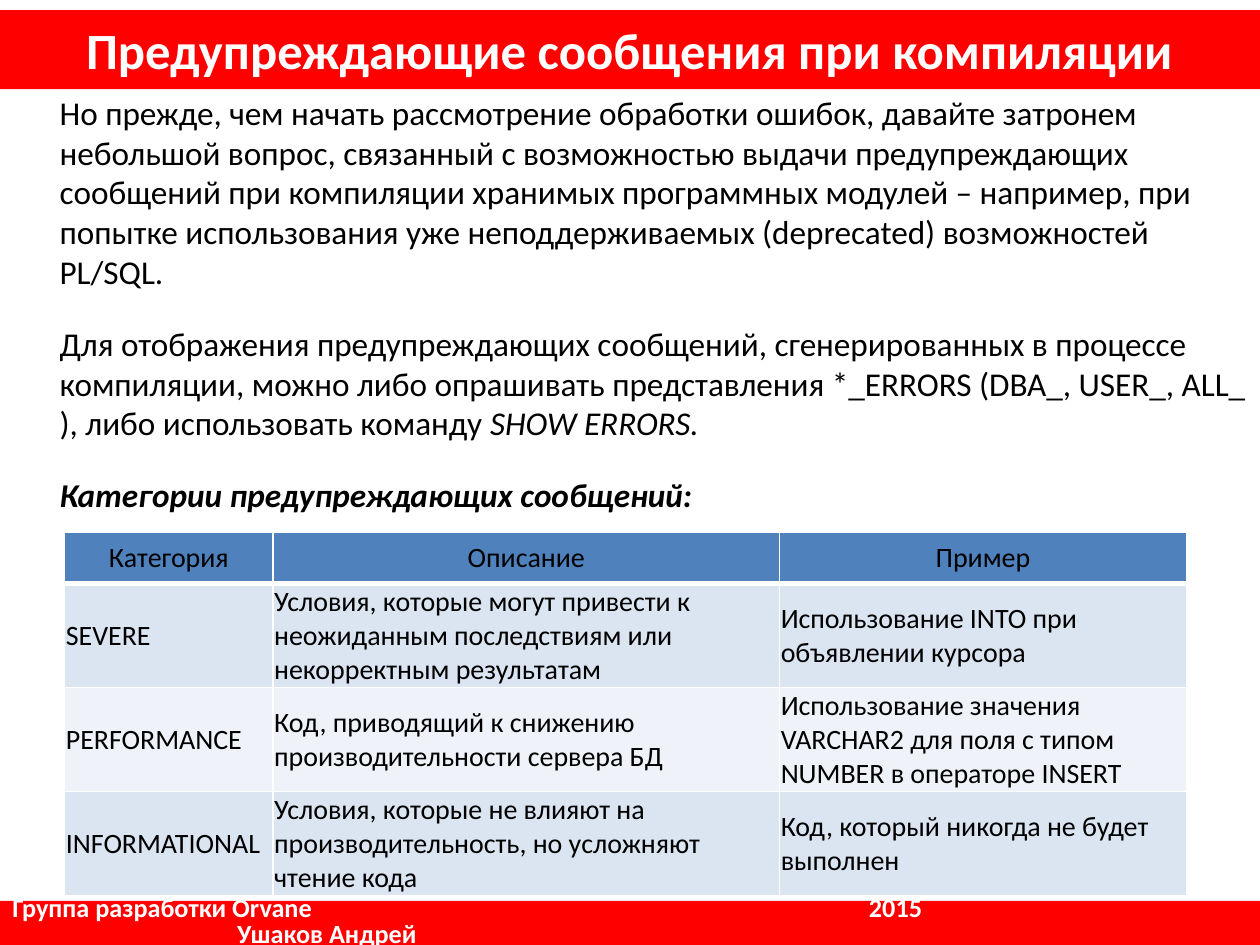
from dataclasses import dataclass

from lxml import etree
from pptx import Presentation
from pptx import util as u
from pptx.dml.color import RGBColor
from pptx.enum import shapes, text
from pptx.oxml import ns

RED = RGBColor(0xFF, 0x00, 0x00)
WHITE = RGBColor(0xFF, 0xFF, 0xFF)
BLACK = RGBColor(0x00, 0x00, 0x00)
HEADER_BLUE = RGBColor(0x4F, 0x81, 0xBD)
BAND_DARK = RGBColor(0xDB, 0xE5, 0xF1)
BAND_LIGHT = RGBColor(0xEF, 0xF3, 0xF9)

Pt = u.Pt
SLIDE_WIDTH, SLIDE_HEIGHT = 720, 540
LEFT, CENTER = text.PP_ALIGN.LEFT, text.PP_ALIGN.CENTER
MIDDLE, TOP = text.MSO_ANCHOR.MIDDLE, text.MSO_ANCHOR.TOP


@dataclass
class Run:
    words: str
    bold: bool = False
    italic: bool = False


@dataclass
class Line:
    runs: list[Run]
    space_before: float = 0
    indent: float = 0
    tab: float = 0


@dataclass
class Style:
    size: float
    color: RGBColor
    alignment: text.PP_ALIGN = LEFT
    spacing: float = 1.0


@dataclass
class Bar:
    top: float
    height: float
    style: Style
    lines: list[Line]


TITLE_BAR = Bar(5.75, 45.25, Style(29, WHITE, CENTER),
                [Line([Run("Предупреждающие сообщения при компиляции", bold=True)])])
FOOTER_BAR = Bar(514.75, 25.25, Style(15, WHITE, spacing=0.8), [
    Line([Run("Группа разработки Orvane\t2015", bold=True)], tab=489.5),
    Line([Run("Ушаков Андрей", bold=True)], indent=128.5),
])
BODY = [
    Line([Run("Но прежде, чем начать рассмотрение обработки ошибок, давайте затронем "
              "небольшой вопрос, связанный с возможностью выдачи предупреждающих "
              "сообщений при компиляции хранимых программных модулей – например, при "
              "попытке использования уже неподдерживаемых (deprecated) возможностей "
              "PL/SQL.")], indent=27),
    Line([Run("Для отображения предупреждающих сообщений, сгенерированных в процессе "
              "компиляции, можно либо опрашивать представления *_ERRORS (DBA_, USER_, "
              "ALL_ ), либо использовать команду "),
          Run("SHOW ERRORS.", italic=True)], space_before=18, indent=27),
    Line([Run("Категории предупреждающих сообщений:", bold=True, italic=True)],
         space_before=18, indent=27),
]
CATEGORIES = [
    ("Категория", "Описание", "Пример"),
    ("SEVERE",
     "Условия, которые могут привести к неожиданным последствиям или "
     "некорректным результатам",
     "Использование INTO при объявлении курсора"),
    ("PERFORMANCE",
     "Код, приводящий к снижению производительности сервера БД",
     "Использование значения VARCHAR2 для поля с типом NUMBER в операторе INSERT"),
    ("INFORMATIONAL",
     "Условия, которые не влияют на производительность, но усложняют чтение кода",
     "Код, который никогда не будет выполнен"),
]
COLUMN_WIDTHS = [119, 289.5, 232.5]
HEADER_HEIGHT, ROW_HEIGHT = 29.5, 59.4


def set_attributes(target, values: dict) -> None:
    for name, value in values.items():
        setattr(target, name, value)


def write_lines(frame, lines: list[Line], style: Style) -> None:
    for index, line in enumerate(lines):
        paragraph = frame.paragraphs[0] if index == 0 else frame.add_paragraph()
        set_attributes(paragraph, {
            "alignment": style.alignment,
            "line_spacing": style.spacing,
            "space_before": Pt(line.space_before),
        })
        properties = paragraph._p.get_or_add_pPr()
        properties.set("marL", str(Pt(line.indent)))
        if line.tab:
            tabs = etree.SubElement(properties, ns.qn("a:tabLst"))
            etree.SubElement(tabs, ns.qn("a:tab"), pos=str(Pt(line.tab)), algn="l")
        for item in line.runs:
            run = paragraph.add_run()
            run.text = item.words
            set_attributes(run.font, {
                "name": "Calibri", "size": Pt(style.size),
                "bold": item.bold, "italic": item.italic,
            })
            run.font.color.rgb = style.color


def format_frame(frame, anchor: text.MSO_ANCHOR) -> None:
    set_attributes(frame, {
        "word_wrap": True, "vertical_anchor": anchor,
        "margin_left": Pt(7.2), "margin_right": Pt(7.2),
        "margin_top": Pt(3.6), "margin_bottom": Pt(3.6),
    })


def draw_bar(slide, bar: Bar) -> None:
    shape = slide.shapes.add_shape(shapes.MSO_SHAPE.RECTANGLE, Pt(0), Pt(bar.top),
                                   Pt(SLIDE_WIDTH), Pt(bar.height))
    shape.shadow.inherit = False
    shape.fill.solid()
    shape.fill.fore_color.rgb = RED
    shape.line.fill.background()
    format_frame(shape.text_frame, MIDDLE)
    write_lines(shape.text_frame, bar.lines, bar.style)


def draw_body(slide) -> None:
    box = slide.shapes.add_textbox(Pt(0), Pt(49), Pt(SLIDE_WIDTH), Pt(465.75))
    format_frame(box.text_frame, TOP)
    write_lines(box.text_frame, BODY, Style(19, BLACK))


def add_borders(cell, widths: dict[str, float]) -> None:
    properties = cell._tc.get_or_add_tcPr()
    for side, width in widths.items():
        border = etree.SubElement(properties, ns.qn(f"a:ln{side}"), w=str(Pt(width)))
        fill = etree.SubElement(border, ns.qn("a:solidFill"))
        etree.SubElement(fill, ns.qn("a:srgbClr"), val=str(WHITE))


def draw_table(slide) -> None:
    heights = [HEADER_HEIGHT] + [ROW_HEIGHT] * (len(CATEGORIES) - 1)
    table = slide.shapes.add_table(len(CATEGORIES), len(COLUMN_WIDTHS), Pt(37), Pt(304),
                                   Pt(sum(COLUMN_WIDTHS)), Pt(sum(heights))).table
    for column, width in zip(table.columns, COLUMN_WIDTHS):
        column.width = Pt(width)
    for index, (row, height, words) in enumerate(zip(table.rows, heights, CATEGORIES)):
        row.height = Pt(height)
        is_header = index == 0
        color = HEADER_BLUE if is_header else (BAND_DARK if index % 2 else BAND_LIGHT)
        style = Style(16, BLACK, CENTER if is_header else LEFT)
        for cell, content in zip(row.cells, words):
            set_attributes(cell, {
                "vertical_anchor": MIDDLE, "margin_left": Pt(0.7),
                "margin_right": Pt(0.7), "margin_top": Pt(0.7), "margin_bottom": Pt(0),
            })
            add_borders(cell, {"L": 1, "R": 1, "T": 3 if index == 1 else 1,
                               "B": 3 if is_header else 1})
            cell.fill.solid()
            cell.fill.fore_color.rgb = color
            write_lines(cell.text_frame, [Line([Run(content)])], style)


def main() -> None:
    presentation = Presentation()
    set_attributes(presentation, {"slide_width": Pt(SLIDE_WIDTH),
                                  "slide_height": Pt(SLIDE_HEIGHT)})
    slide = presentation.slides.add_slide(presentation.slide_layouts[6])
    # Title, explanation and footer
    draw_bar(slide, TITLE_BAR)
    draw_body(slide)
    draw_bar(slide, FOOTER_BAR)
    # Warning categories
    draw_table(slide)
    presentation.save("out.pptx")


if __name__ == "__main__":
    main()
